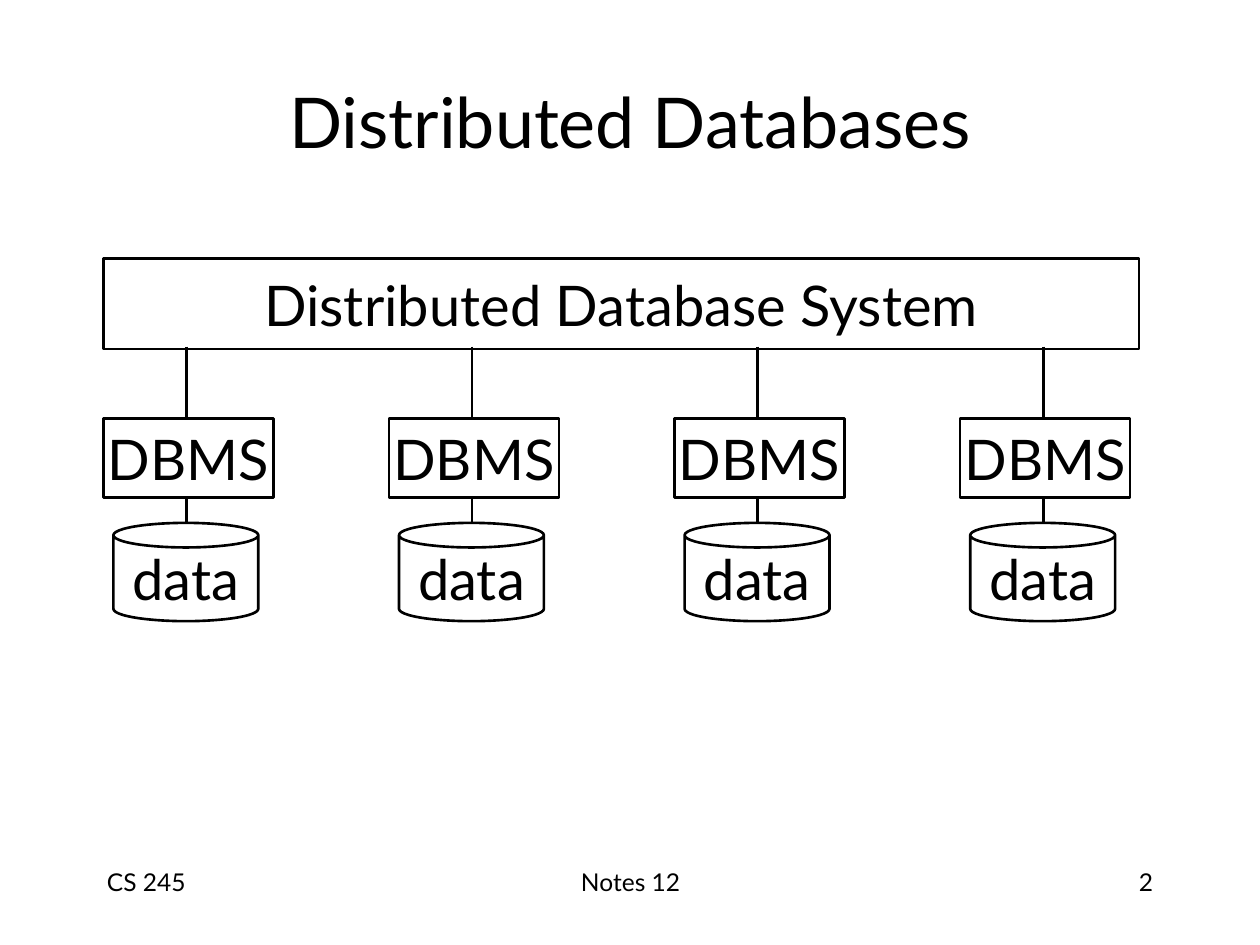
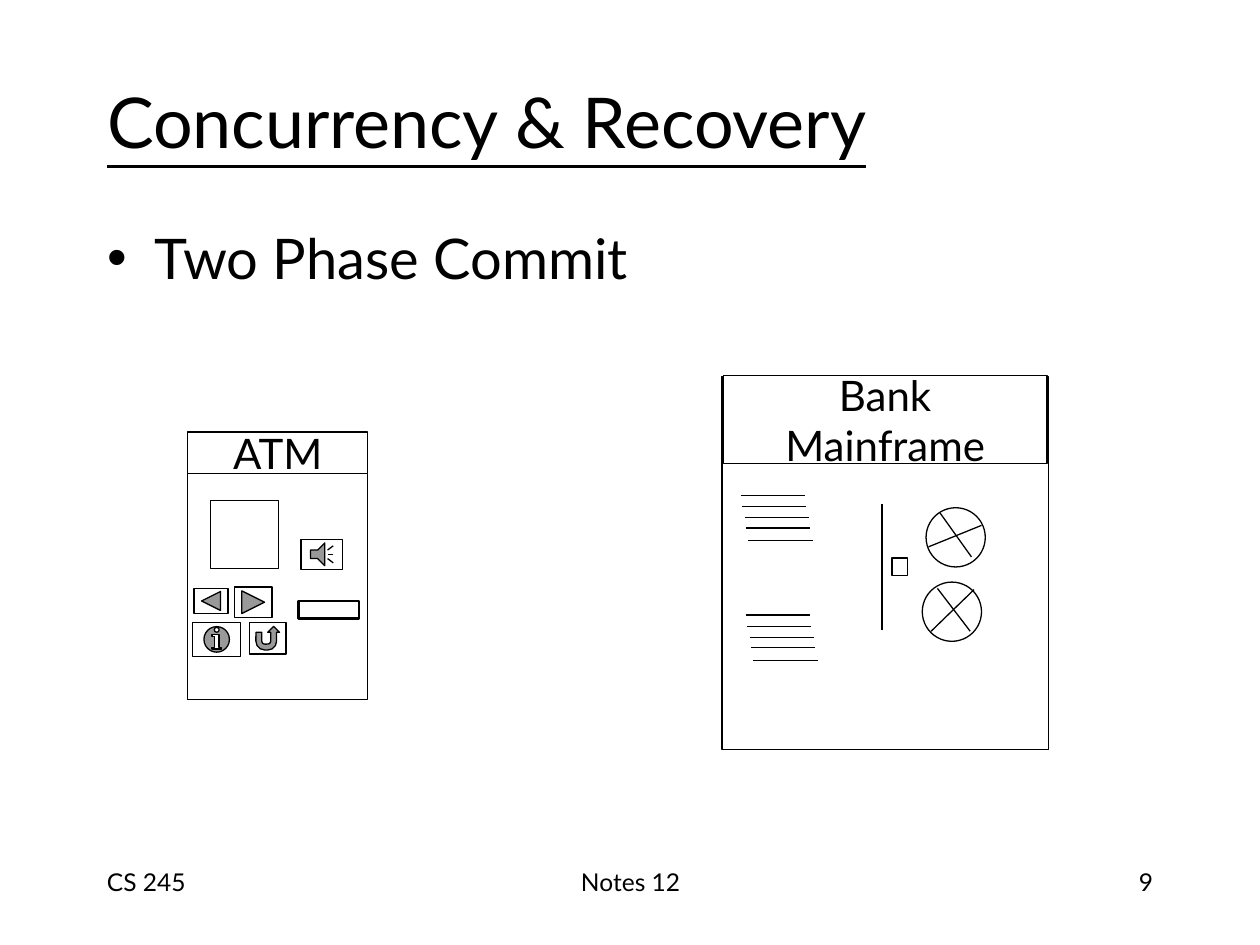
"""Build two slides on distributed databases: the architecture and two phase commit."""
from typing import NamedTuple

from lxml import etree
from pptx import Presentation
from pptx import util as u
from pptx.dml.color import RGBColor
from pptx.enum import shapes, text
from pptx.oxml.ns import qn

FONT, BLACK, WHITE = "Lato", "000000", "FFFFFF"
MSO = shapes.MSO_SHAPE
LEFT, CENTER, RIGHT = text.PP_ALIGN.LEFT, text.PP_ALIGN.CENTER, text.PP_ALIGN.RIGHT
THIN, THICK = 0.75, 1.5


class Box(NamedTuple):
    x: float
    y: float
    w: float
    h: float

    def inches(self) -> list:
        return [u.Inches(v) for v in self]


class Part(NamedTuple):
    kind: MSO
    box: Box
    label: str = ""
    size: int = 24
    line: float = THIN


class Line(NamedTuple):
    x1: float
    y1: float
    x2: float
    y2: float
    width: float = THIN


class Footer(NamedTuple):
    box: Box
    align: text.PP_ALIGN


FOOTERS = [
    Footer(Box(0.75, 6.83, 2.08, 0.5), LEFT),
    Footer(Box(3.42, 6.83, 3.17, 0.5), CENTER),
    Footer(Box(7.17, 6.83, 2.08, 0.5), RIGHT),
]
TITLE = Box(0.75, 0.43, 8.5, 1.05)
BODY = Box(0.75, 1.72, 8.5, 0.67)
STRIPES = [(0, 0), (0.01, 0.09), (0.03, 0.18), (0.04, 0.26), (0.06, 0.36)]
TAPE_START = (7.39, 4.14)
TAPE_CURVES = [
    ((7.33, 4.16), (7.32, 4.18), (7.27, 4.22)),
    ((7.22, 4.26), (7.17, 4.28), (7.12, 4.33)),
    ((7.08, 4.46), (7.15, 4.27), (7.07, 4.41)),
    ((7.06, 4.43), (7.05, 4.48), (7.05, 4.48)),
    ((7.05, 4.52), (7.05, 4.57), (7.06, 4.61)),
    ((7.07, 4.67), (7.18, 4.73), (7.22, 4.76)),
    ((7.29, 4.86), (7.2, 4.74), (7.28, 4.82)),
    ((7.3, 4.83), (7.3, 4.85), (7.31, 4.86)),
    ((7.31, 4.87), (7.32, 4.87), (7.32, 4.87)),
]


def rgb(color: str) -> RGBColor:
    return RGBColor.from_string(color)


def write(tf, content: str, *, size: int, align=CENTER, anchor=text.MSO_ANCHOR.MIDDLE,
          wrap: bool = True, underline: bool = False, bullet: str = "") -> None:
    tf.text = content
    tf.word_wrap = wrap
    tf.auto_size = text.MSO_AUTO_SIZE.NONE
    tf.vertical_anchor = anchor
    for p in tf.paragraphs:
        p.alignment = align
        p.space_before = u.Pt(0)
        if bullet:
            pPr = p._p.get_or_add_pPr()
            indent = u.Inches(0.38)
            pPr.set("marL", str(indent))
            pPr.set("indent", str(-indent))
            etree.SubElement(pPr, qn("a:buChar"), char=bullet)
        for r in p.runs:
            r.font.name, r.font.size = FONT, u.Pt(size)
            r.font.color.rgb = rgb(BLACK)
            if underline:
                r.font.underline = True


def stroke(sp, width: float) -> None:
    sp.line.color.rgb = rgb(BLACK)
    sp.line.width = u.Pt(width)


def add_part(s, part: Part) -> None:
    sp = s.shapes.add_shape(part.kind, *part.box.inches())
    sp.shadow.inherit = False
    sp.fill.solid()
    sp.fill.fore_color.rgb = rgb(WHITE)
    stroke(sp, part.line)
    if part.label:
        write(sp.text_frame, part.label, size=part.size, wrap=False)


def add_line(s, line: Line) -> None:
    ends = [u.Inches(v) for v in line[:4]]
    cx = s.shapes.add_connector(shapes.MSO_CONNECTOR.STRAIGHT, *ends)
    stroke(cx, line.width)
    etree.SubElement(cx._element.spPr, qn("a:effectLst"))


def add_curve(s, start: tuple, curves: list, steps: int = 8) -> None:
    points, a = [], start
    for b, c, d in curves:
        for t in (i / steps for i in range(1, steps + 1)):
            k = 1 - t
            points.append(tuple(
                k**3 * a[n] + 3 * k * k * t * b[n] + 3 * k * t * t * c[n] + t**3 * d[n]
                for n in (0, 1)))
        a = d
    fb = s.shapes.build_freeform(*start, scale=u.Inches(1))
    fb.add_line_segments(points, close=False)
    sp = fb.convert_to_shape()
    sp.shadow.inherit = False
    sp.fill.background()
    stroke(sp, THIN)


def place(sp, box: Box) -> None:
    sp.left, sp.top, sp.width, sp.height = box.inches()


def add_slide(prs, layout: int, title: str, number: int, **title_format):
    s = prs.slides.add_slide(prs.slide_layouts[layout])
    place(s.shapes.title, TITLE)
    write(s.shapes.title.text_frame, title, size=40, **title_format)
    for footer, content in zip(FOOTERS, ("CS 245", "Notes 12", str(number))):
        tb = s.shapes.add_textbox(*footer.box.inches())
        write(tb.text_frame, content, size=14, align=footer.align,
              anchor=text.MSO_ANCHOR.TOP)
    return s


def architecture_slide(prs) -> None:
    s = add_slide(prs, 5, "Distributed Databases", 2)
    add_part(s, Part(MSO.RECTANGLE, Box(0.82, 2.05, 8.22, 0.72),
                     "Distributed Database System", 32, THICK))
    for site in range(4):
        x = 0.82 + site * 6.8 / 3
        add_part(s, Part(MSO.CAN, Box(x + 0.08, 4.15, 1.15, 0.78), "data", 32, THICK))
        add_part(s, Part(MSO.RECTANGLE, Box(x, 3.32, 1.35, 0.63), "DBMS", 32, THICK))
        for top, bottom in ((2.75, 3.31), (3.94, 4.16)):
            add_line(s, Line(x + 0.66, top, x + 0.66, bottom, THICK))


def add_atm(s) -> None:
    for part in (
        Part(MSO.RECTANGLE, Box(1.49, 3.45, 1.43, 2.1)),
        Part(MSO.RECTANGLE, Box(1.49, 3.43, 1.43, 0.33), "ATM"),
        Part(MSO.RECTANGLE, Box(1.67, 3.97, 0.54, 0.54)),
        Part(MSO.ACTION_BUTTON_BACK_OR_PREVIOUS, Box(1.54, 4.67, 0.27, 0.2)),
        Part(MSO.ACTION_BUTTON_FORWARD_OR_NEXT, Box(1.86, 4.66, 0.3, 0.24)),
        Part(MSO.ACTION_BUTTON_SOUND, Box(2.39, 4.28, 0.33, 0.24)),
        Part(MSO.ACTION_BUTTON_INFORMATION, Box(1.53, 4.94, 0.38, 0.27)),
        Part(MSO.ACTION_BUTTON_RETURN, Box(1.98, 4.94, 0.29, 0.25)),
        Part(MSO.RECTANGLE, Box(2.37, 4.77, 0.48, 0.14), line=THICK),
    ):
        add_part(s, part)


def add_mainframe(s) -> None:
    for part in (
        Part(MSO.RECTANGLE, Box(5.73, 2.99, 2.59, 2.96)),
        Part(MSO.RECTANGLE, Box(5.74, 2.98, 2.57, 0.7), "Bank\nMainframe"),
        Part(MSO.OVAL, Box(7.35, 4.03, 0.47, 0.47)),
        Part(MSO.OVAL, Box(7.32, 4.62, 0.47, 0.47)),
        Part(MSO.RECTANGLE, Box(7.08, 4.43, 0.12, 0.14)),
    ):
        add_part(s, part)
    add_curve(s, TAPE_START, TAPE_CURVES)
    spokes = [Line(7.37, 4.34, 7.79, 4.17), Line(7.46, 4.07, 7.71, 4.42),
              Line(7.39, 5.01, 7.73, 4.68), Line(7.44, 4.67, 7.7, 5.01)]
    stripes = [Line(x + dx, y + dy, x + dx + 0.51, y + dy)
               for x, y in ((5.88, 3.93), (5.92, 4.88)) for dx, dy in STRIPES]
    for line in spokes + stripes:
        add_line(s, line)


def commit_slide(prs) -> None:
    s = add_slide(prs, 1, "Concurrency & Recovery", 9, align=LEFT, underline=True)
    body = s.placeholders[1]
    place(body, BODY)
    write(body.text_frame, "Two Phase Commit", size=32, align=LEFT,
          anchor=text.MSO_ANCHOR.TOP, bullet="•")
    add_atm(s)
    add_mainframe(s)


def main() -> None:
    prs = Presentation()
    prs.slide_width, prs.slide_height = u.Inches(10), u.Inches(7.5)
    architecture_slide(prs)
    commit_slide(prs)
    prs.save("out.pptx")


if __name__ == "__main__":
    main()
